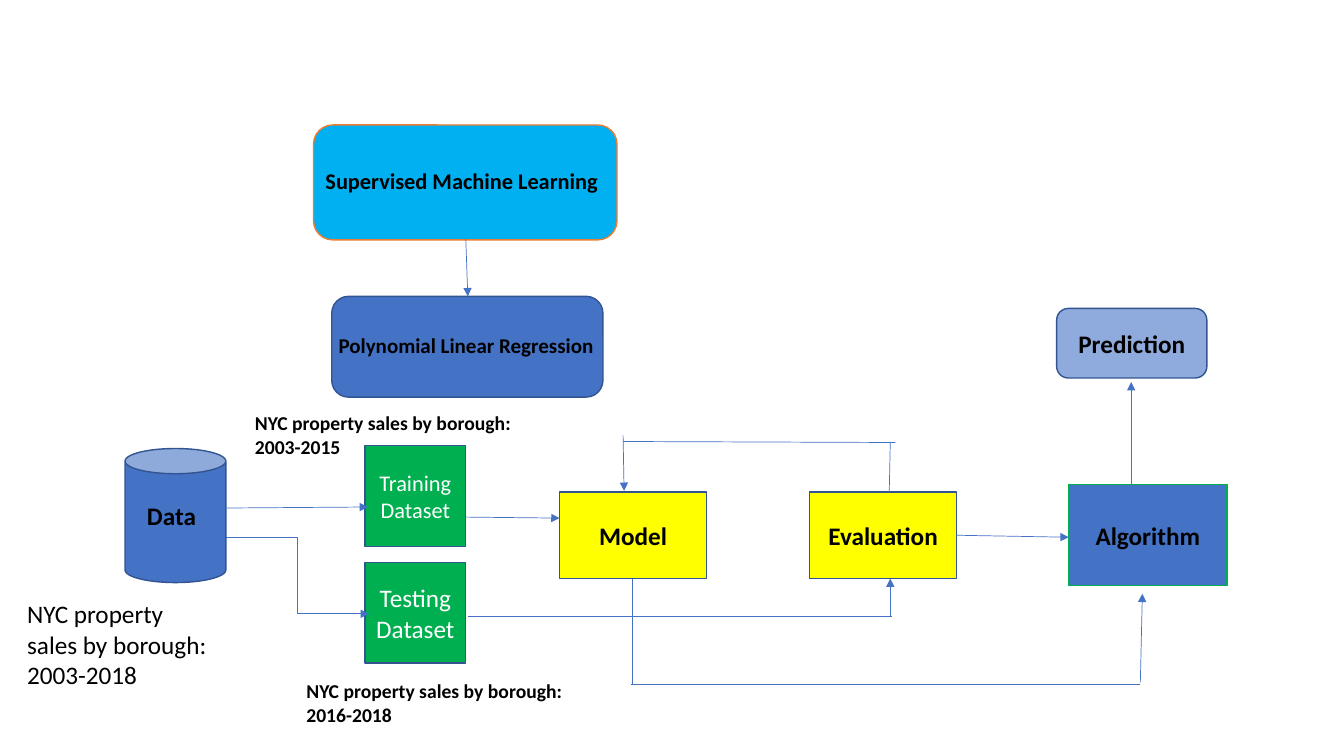
import lxml.etree
import pptx
import pptx.util
import pptx.dml.color
import pptx.enum.shapes
import pptx.enum.text
import pptx.oxml.ns

Inches = pptx.util.Inches
Shape = pptx.enum.shapes.MSO_SHAPE
Link = pptx.enum.shapes.MSO_CONNECTOR
Align = pptx.enum.text.PP_ALIGN
Anchor = pptx.enum.text.MSO_ANCHOR

THEME = {
    "font": "Calibri", "small": 14, "label": 15, "mid": 16, "large": 18,
    "black": "000000", "white": "FFFFFF", "blue": "4472C4", "navy": "325491",
    "sky": "00B0F0", "pale": "8FAADC", "orange": "ED7D31",
    "green": "00B050", "yellow": "FFFF00",
    "edge": 1, "wire": 0.5,
}


def tint(name):
    """Return the theme colour of this name."""
    return pptx.dml.color.RGBColor.from_string(THEME[name])


def write(shape, text, size="large", color="black", bold=True,
          align=Align.LEFT, anchor=Anchor.TOP):
    """Put formatted text into a shape or text box."""
    frame = shape.text_frame
    frame.word_wrap = True
    frame.vertical_anchor = anchor
    para = frame.paragraphs[0]
    para.alignment = align
    run = para.add_run()
    run.text = text
    run.font.name = THEME["font"]
    run.font.size = pptx.util.Pt(THEME[size])
    run.font.bold = bold
    run.font.color.rgb = tint(color)


deck = pptx.Presentation()
deck.slide_width, deck.slide_height = Inches(13.33), Inches(7.5)
slide = deck.slides.add_slide(deck.slide_layouts[6])

# Boxes: kind, place, fill, line, text, text format
plain = {"color": "white", "bold": False}
boxes = [
    (Shape.ROUNDED_RECTANGLE, (3.11, 1.24, 3.01, 1.14), "sky", "orange", "", {}),
    (Shape.ROUNDED_RECTANGLE, (3.29, 2.94, 2.69, 1), "blue", "navy", "", {}),
    (Shape.CAN, (1.24, 4.45, 1, 1.33), "blue", "navy", "", {}),
    (Shape.RECTANGLE, (3.62, 5.58, 1, 1), "green", "navy", "Testing Dataset", plain),
    (Shape.RECTANGLE, (3.62, 4.42, 1, 1), "green", "navy", "Training Dataset",
     {**plain, "size": "mid"}),
    (Shape.RECTANGLE, (5.55, 4.88, 1.46, 0.86), "yellow", "navy", "Model", {}),
    (Shape.RECTANGLE, (8.03, 4.88, 1.46, 0.86), "yellow", "navy", "Evaluation", {}),
    (Shape.RECTANGLE, (10.6, 4.81, 1.57, 1), "blue", "green", "Algorithm", {}),
    (Shape.ROUNDED_RECTANGLE, (10.48, 3.06, 1.49, 0.69), "pale", "navy",
     "Prediction", {}),
]
for kind, place, fill, edge, text, form in boxes:
    box = slide.shapes.add_shape(kind, *map(Inches, place))
    box.shadow.inherit = False
    box.fill.solid()
    box.fill.fore_color.rgb = tint(fill)
    box.line.color.rgb = tint(edge)
    box.line.width = pptx.util.Pt(THEME["edge"])
    if text:
        write(box, text, align=Align.CENTER, anchor=Anchor.MIDDLE, **form)

# Labels and captions
sales = "NYC property sales by\u00a0borough: "
labels = [
    ((3.13, 1.61, 3.56, 0.37), "Supervised Machine Learning", {"size": "mid"}),
    ((3.26, 3.25, 3, 0.35), "Polynomial Linear Regression", {"size": "label"}),
    ((1.36, 4.91, 3, 0.4), "Data", {}),
    ((0.17, 5.89, 2.01, 1.01), "NYC property sales by borough: 2003-2018",
     {"bold": False}),
    ((2.43, 4.03, 3, 0.57), sales + "2003-2015", {"size": "small"}),
    ((2.94, 6.69, 3, 0.57), sales + "2016-2018", {"size": "small"}),
]
for place, text, form in labels:
    write(slide.shapes.add_textbox(*map(Inches, place)), text, **form)

# Wires: kind, ends, arrowhead
wires = [
    (Link.STRAIGHT, (4.62, 2.37, 4.64, 2.94), True),     # method to model type
    (Link.STRAIGHT, (2.25, 5.04, 3.65, 5.03), True),     # data to training
    (Link.ELBOW, (2.24, 5.33, 3.66, 6.09), True),        # data to testing
    (Link.STRAIGHT, (4.64, 6.11, 8.85, 6.11), False),    # testing to evaluation
    (Link.STRAIGHT, (8.83, 6.11, 8.83, 5.74), True),
    (Link.STRAIGHT, (8.83, 4.39, 8.82, 4.88), False),    # evaluation to model
    (Link.STRAIGHT, (6.18, 4.38, 8.88, 4.39), False),
    (Link.STRAIGHT, (6.18, 4.32, 6.19, 4.87), True),
    (Link.STRAIGHT, (4.62, 5.13, 5.55, 5.14), True),     # training to model
    (Link.STRAIGHT, (9.48, 5.31, 10.6, 5.33), True),     # evaluation to algorithm
    (Link.STRAIGHT, (11.22, 4.87, 11.22, 3.79), True),   # algorithm to prediction
    (Link.STRAIGHT, (6.27, 5.74, 6.27, 6.79), False),    # model to algorithm
    (Link.STRAIGHT, (6.26, 6.79, 11.31, 6.79), False),
    (Link.STRAIGHT, (11.31, 6.77, 11.33, 5.89), True),
]
for kind, ends, head in wires:
    wire = slide.shapes.add_connector(kind, *map(Inches, ends))
    wire.line.color.rgb = tint("blue")
    wire.line.width = pptx.util.Pt(THEME["wire"])
    props = wire.element.spPr
    if head:
        line = props.find(pptx.oxml.ns.qn("a:ln"))
        lxml.etree.SubElement(line, pptx.oxml.ns.qn("a:tailEnd"), type="triangle")
    lxml.etree.SubElement(props, pptx.oxml.ns.qn("a:effectLst"))

deck.save("out.pptx")
